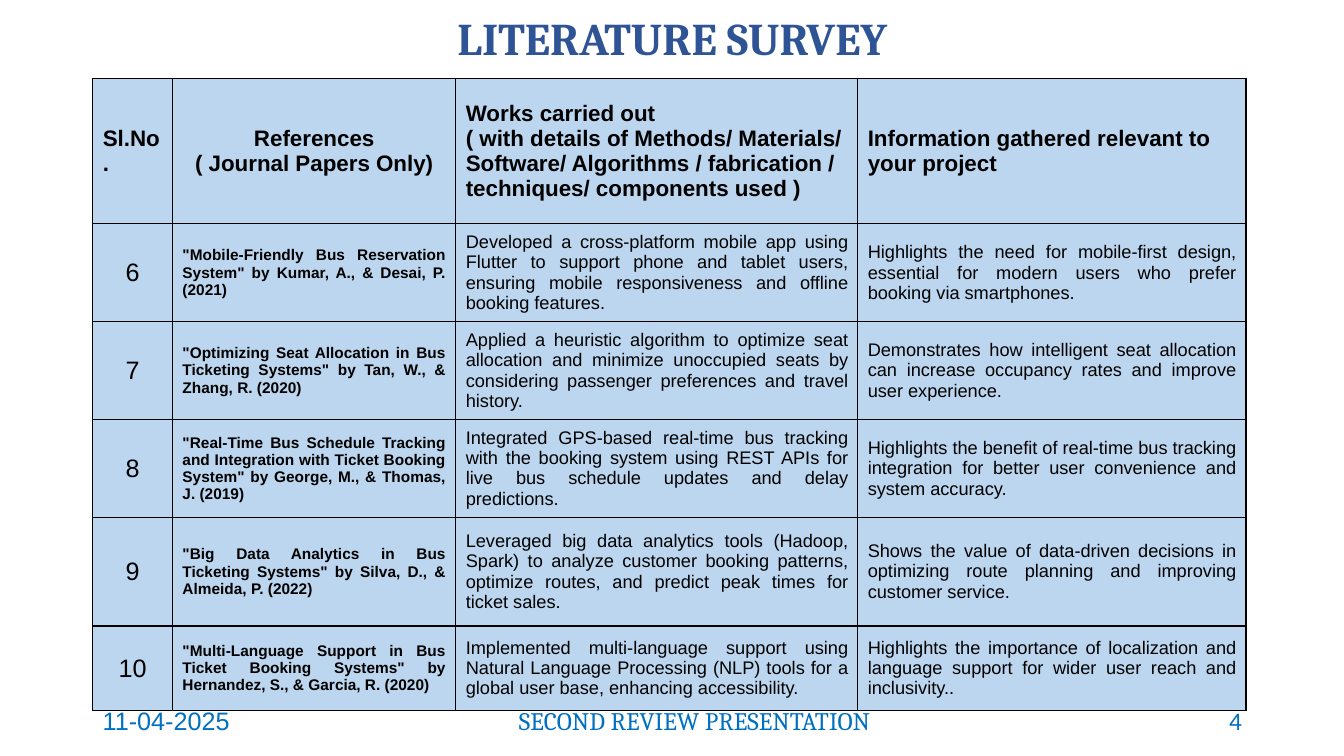
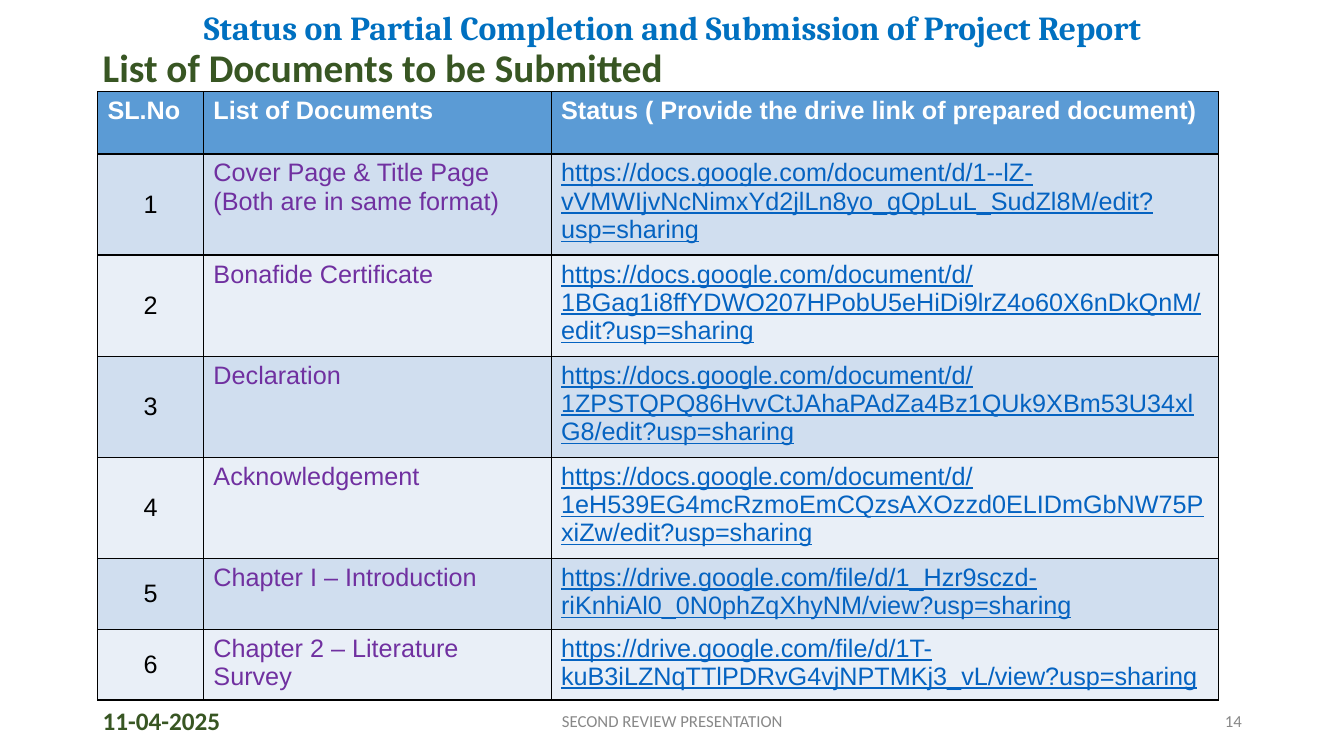
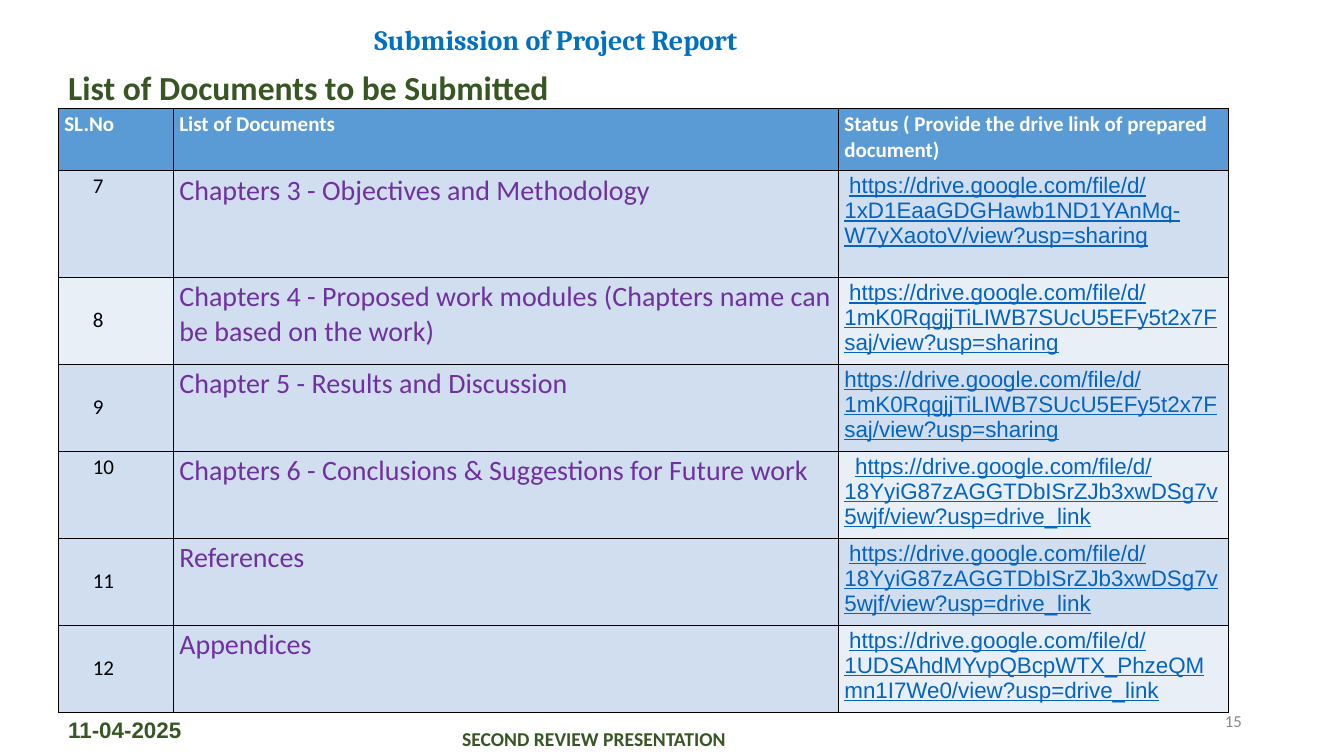
from dataclasses import dataclass

from lxml import etree
from pptx import Presentation
from pptx.dml.color import RGBColor
from pptx.enum.text import MSO_ANCHOR, PP_ALIGN
from pptx.oxml.ns import qn
from pptx.util import Cm, Pt

LEFT, CENTER, RIGHT, JUSTIFY = PP_ALIGN.LEFT, PP_ALIGN.CENTER, PP_ALIGN.RIGHT, PP_ALIGN.JUSTIFY
TOP, MIDDLE = MSO_ANCHOR.TOP, MSO_ANCHOR.MIDDLE


@dataclass(frozen=True)
class Style:
    name: str
    size: float
    color: str
    bold: bool = False
    underline: bool = False
    align: int = LEFT
    anchor: int = TOP
    spacing: float = 1.0


class Theme:
    black, white, grey = "000000", "FFFFFF", "888888"
    navy, blue, green, purple, link_blue = "2F5496", "0070C0", "385623", "7030A0", "0563C1"
    survey_fill, header_fill, dark_band, light_band = "BBD6EE", "5B9BD5", "D0DEEF", "E9EFF7"

    survey_title = Style("Cambria", 32.4, navy, True, align=CENTER, anchor=MIDDLE, spacing=0.9)
    status_title = Style("Cambria", 24, blue, True, align=CENTER, anchor=MIDDLE, spacing=0.9)
    report_title = Style("Cambria", 20, blue, True, align=CENTER)
    status_subtitle = Style("Calibri", 28, green, True, spacing=0.9)
    report_subtitle = Style("Calibri", 24, green, True)

    survey_date = Style("Arial", 18, blue, anchor=MIDDLE)
    survey_footer = Style("Cambria", 18, blue, align=CENTER, anchor=MIDDLE)
    survey_number = Style("Calibri", 18, blue, align=RIGHT, anchor=MIDDLE)
    status_date = Style("Calibri", 18, green, True, anchor=MIDDLE)
    plain_footer = Style("Calibri", 12, grey, align=CENTER, anchor=MIDDLE)
    plain_number = Style("Calibri", 12, grey, align=RIGHT, anchor=MIDDLE)
    report_date = Style("Arial", 16, green, True)
    report_footer = Style("Calibri", 14, green, True, align=CENTER)

    survey_header = Style("Arial", 16, black, True, anchor=MIDDLE)
    survey_header_mid = Style("Arial", 16, black, True, align=CENTER, anchor=MIDDLE)
    row_number = Style("Arial", 18, black, align=CENTER, anchor=MIDDLE)
    reference = Style("Arial", 11, black, True, align=JUSTIFY, anchor=MIDDLE)
    finding = Style("Arial", 13, black, align=JUSTIFY, anchor=MIDDLE)
    status_header = Style("Arial", 18, white, True)
    status_document = Style("Arial", 18, purple)
    status_link = Style("Arial", 18, link_blue, underline=True)
    report_header = Style("Calibri", 15, white, True)
    report_row_top = Style("Calibri", 15, black)
    report_row = Style("Calibri", 15, black, anchor=MIDDLE)
    report_document = Style("Calibri", 20, purple)
    report_link = Style("Arial", 16, link_blue, underline=True)


DATE = "11-04-2025"
FOOTER = "SECOND REVIEW PRESENTATION"
SUBTITLE = "List of Documents to be Submitted"
DOC_URL = "https://docs.google.com/document/d/"
FILE_URL = "https://drive.google.com/file/d/"
DOCUMENT_HEADER = ("SL.No", "List of Documents",
                   "Status ( Provide the drive link of prepared document)")

# Text boxes: text, style, (left, top, width, height) in cm
SURVEY_TEXTS = [
    ("LITERATURE SURVEY", Theme.survey_title, (2.34, 0.66, 29.21, 0.76)),
    (DATE, Theme.survey_date, (2.34, 17.65, 7.62, 1.02)),
    (FOOTER, Theme.survey_footer, (11.79, 17.65, 11.43, 1.02)),
    ("4", Theme.survey_number, (23.93, 17.65, 7.62, 1.02)),
]
STATUS_TEXTS = [
    ("Status on Partial Completion and Submission of Project Report",
     Theme.status_title, (2.34, 0, 29.21, 1.47)),
    (SUBTITLE, Theme.status_subtitle, (2.34, 1.09, 29.21, 1.22)),
    (DATE, Theme.status_date, (2.34, 17.65, 7.62, 1.02)),
    (FOOTER, Theme.plain_footer, (11.23, 17.65, 11.43, 1.02)),
    ("14", Theme.plain_number, (23.93, 17.65, 7.62, 1.02)),
]
REPORT_TEXTS = [
    ("Submission of Project Report", Theme.report_title, (5.54, 0.43, 16.94, 1.14)),
    (SUBTITLE, Theme.report_subtitle, (1.47, 1.55, 13, 1.27)),
    (DATE, Theme.report_date, (1.47, 17.93, 8, 0.94)),
    (FOOTER, Theme.report_footer, (6.5, 18.19, 16.94, 0.86)),
    ("15", Theme.plain_number, (23.93, 17.65, 7.62, 1.02)),
]

SURVEY_HEADER = (
    "Sl.No.",
    "References\n( Journal Papers Only)",
    "Works carried out\n( with details of Methods/ Materials/ Software/ Algorithms / "
    "fabrication / techniques/ components used )",
    "Information gathered relevant to your project",
)
SURVEY_ROWS = [
    ("6", '"Mobile-Friendly Bus Reservation System" by Kumar, A., & Desai, P. (2021)',
     "Developed a cross-platform mobile app using Flutter to support phone and tablet users, "
     "ensuring mobile responsiveness and offline booking features.",
     "Highlights the need for mobile-first design, essential for modern users who prefer "
     "booking via smartphones."),
    ("7", '"Optimizing Seat Allocation in Bus Ticketing Systems" by Tan, W., & Zhang, R. (2020)',
     "Applied a heuristic algorithm to optimize seat allocation and minimize unoccupied seats "
     "by considering passenger preferences and travel history.",
     "Demonstrates how intelligent seat allocation can increase occupancy rates and improve "
     "user experience."),
    ("8", '"Real-Time Bus Schedule Tracking and Integration with Ticket Booking System" '
     "by George, M., & Thomas, J. (2019)",
     "Integrated GPS-based real-time bus tracking with the booking system using REST APIs for "
     "live bus schedule updates and delay predictions.",
     "Highlights the benefit of real-time bus tracking integration for better user convenience "
     "and system accuracy."),
    ("9", '"Big Data Analytics in Bus Ticketing Systems" by Silva, D., & Almeida, P. (2022)',
     "Leveraged big data analytics tools (Hadoop, Spark) to analyze customer booking patterns, "
     "optimize routes, and predict peak times for ticket sales.",
     "Shows the value of data-driven decisions in optimizing route planning and improving "
     "customer service."),
    ("10", '"Multi-Language Support in Bus Ticket Booking Systems" by Hernandez, S., '
     "& Garcia, R. (2020)",
     "Implemented multi-language support using Natural Language Processing (NLP) tools for a "
     "global user base, enhancing accessibility.",
     "Highlights the importance of localization and language support for wider user reach and "
     "inclusivity.."),
]
STATUS_ROWS = [
    ("1", "Cover Page & Title Page (Both are in same format)",
     DOC_URL + "1--lZ-vVMWIjvNcNimxYd2jlLn8yo_gQpLuL_SudZl8M/edit?usp=sharing"),
    ("2", "Bonafide Certificate",
     DOC_URL + "1BGag1i8ffYDWO207HPobU5eHiDi9lrZ4o60X6nDkQnM/edit?usp=sharing"),
    ("3", "Declaration",
     DOC_URL + "1ZPSTQPQ86HvvCtJAhaPAdZa4Bz1QUk9XBm53U34xlG8/edit?usp=sharing"),
    ("4", "Acknowledgement",
     DOC_URL + "1eH539EG4mcRzmoEmCQzsAXOzzd0ELIDmGbNW75PxiZw/edit?usp=sharing"),
    ("5", "Chapter I – Introduction",
     FILE_URL + "1_Hzr9sczd-riKnhiAl0_0N0phZqXhyNM/view?usp=sharing"),
    ("6", "Chapter 2 – Literature Survey",
     FILE_URL + "1T-kuB3iLZNqTTlPDRvG4vjNPTMKj3_vL/view?usp=sharing"),
]
REPORT_ROWS = [
    ("7", "Chapters 3 - Objectives and Methodology",
     FILE_URL + "1xD1EaaGDGHawb1ND1YAnMq-W7yXaotoV/view?usp=sharing"),
    ("8", "Chapters 4 - Proposed work modules (Chapters name can be based on the work)",
     FILE_URL + "1mK0RqgjjTiLIWB7SUcU5EFy5t2x7Fsaj/view?usp=sharing"),
    ("9", "Chapter 5 - Results and Discussion",
     FILE_URL + "1mK0RqgjjTiLIWB7SUcU5EFy5t2x7Fsaj/view?usp=sharing"),
    ("10", "Chapters 6 - Conclusions & Suggestions for Future work",
     FILE_URL + "18YyiG87zAGGTDbISrZJb3xwDSg7v5wjf/view?usp=drive_link"),
    ("11", "References",
     FILE_URL + "18YyiG87zAGGTDbISrZJb3xwDSg7v5wjf/view?usp=drive_link"),
    ("12", "Appendices",
     FILE_URL + "1UDSAhdMYvpQBcpWTX_PhzeQMmn1I7We0/view?usp=drive_link"),
]
NUMBER_INDENT = 0.72
LINK_INDENTS = (0.12, 0.12, 0, 0.27, 0.12, 0.12)


def write(tf, text, style, indent=0):
    """Fill a text frame, one paragraph a line; indent (cm) moves the first line."""
    for i, line in enumerate(text.split("\n")):
        p = tf.paragraphs[0] if i == 0 else tf.add_paragraph()
        p.alignment, p.line_spacing = style.align, style.spacing
        if indent:
            p._p.get_or_add_pPr().set("indent", str(Cm(indent)))
        r = p.add_run()
        r.text = line
        formats = {"name": style.name, "size": Pt(style.size),
                   "bold": style.bold, "underline": style.underline}
        for attr, value in formats.items():
            setattr(r.font, attr, value)
        r.font.color.rgb = RGBColor.from_string(style.color)


def add_texts(slide, texts):
    for text, style, box in texts:
        tf = slide.shapes.add_textbox(*map(Cm, box)).text_frame
        tf.word_wrap, tf.vertical_anchor = True, style.anchor
        write(tf, text, style)


def set_borders(cell, width):
    tcPr = cell._tc.get_or_add_tcPr()
    for side in ("a:lnL", "a:lnR", "a:lnT", "a:lnB"):
        ln = etree.SubElement(tcPr, qn(side), w=str(Pt(width)))
        fill = etree.SubElement(ln, qn("a:solidFill"))
        etree.SubElement(fill, qn("a:srgbClr"), val=Theme.black)


def add_table(slide, corner, widths, heights, rows, look, margins=(0.25, 0.13), border=1):
    """look(row, column) gives the style, fill and first-line indent of a cell."""
    left, top = corner
    table = slide.shapes.add_table(len(rows), len(widths), Cm(left), Cm(top),
                                   Cm(sum(widths)), Cm(sum(heights))).table
    table.first_row = table.horz_banding = False
    for column, width in zip(table.columns, widths):
        column.width = Cm(width)
    for row, height in zip(table.rows, heights):
        row.height = Cm(height)
    side, edge = map(Cm, margins)
    for i, values in enumerate(rows):
        for j, text in enumerate(values):
            cell = table.cell(i, j)
            style, fill, indent = look(i, j)
            formats = {"margin_left": side, "margin_right": side, "margin_top": edge,
                       "margin_bottom": edge, "vertical_anchor": style.anchor}
            for attr, value in formats.items():
                setattr(cell, attr, value)
            set_borders(cell, border)
            cell.fill.solid()
            cell.fill.fore_color.rgb = RGBColor.from_string(fill)
            write(cell.text_frame, text, style, indent)


def band(i):
    return Theme.dark_band if i % 2 else Theme.light_band


def survey_look(i, j):
    if i == 0:
        style = Theme.survey_header_mid if j == 1 else Theme.survey_header
    else:
        style = (Theme.row_number, Theme.reference, Theme.finding, Theme.finding)[j]
    return style, Theme.survey_fill, 0


def status_look(i, j):
    if i == 0:
        return Theme.status_header, Theme.header_fill, 0
    return (Theme.row_number, Theme.status_document, Theme.status_link)[j], band(i), 0


def report_look(i, j):
    if i == 0:
        return Theme.report_header, Theme.header_fill, 0
    if j == 0:
        style = Theme.report_row_top if i in (1, 4) else Theme.report_row
        return style, Theme.light_band if i == 2 else Theme.dark_band, NUMBER_INDENT
    if j == 1:
        return Theme.report_document, Theme.dark_band, 0
    return Theme.report_link, band(i), LINK_INDENTS[i - 1]


def main():
    prs = Presentation()
    prs.slide_width, prs.slide_height = Cm(33.87), Cm(19.05)
    survey, status, report = (prs.slides.add_slide(prs.slide_layouts[6]) for _ in range(3))

    add_texts(survey, SURVEY_TEXTS)
    add_table(survey, (2.34, 1.98), (2.01, 7.14, 10.13, 9.78),
              (3.66, 2.13, 2.13, 2.41, 2.74, 2.13),
              [SURVEY_HEADER, *SURVEY_ROWS], survey_look)

    add_texts(status, STATUS_TEXTS)
    add_table(status, (2.46, 2.31), (2.67, 8.76, 16.81),
              (1.57, 2.54, 2.26, 2.34, 2.54, 1.78, 1.78),
              [DOCUMENT_HEADER, *STATUS_ROWS], status_look)

    add_table(report, (1.47, 2.74), (2.9, 16.76, 9.83), (1.55, 2.69, *[2.18] * 5),
              [DOCUMENT_HEADER, *REPORT_ROWS], report_look, (0.15, 0.08), 0.67)
    add_texts(report, REPORT_TEXTS)

    prs.save("out.pptx")


if __name__ == "__main__":
    main()
